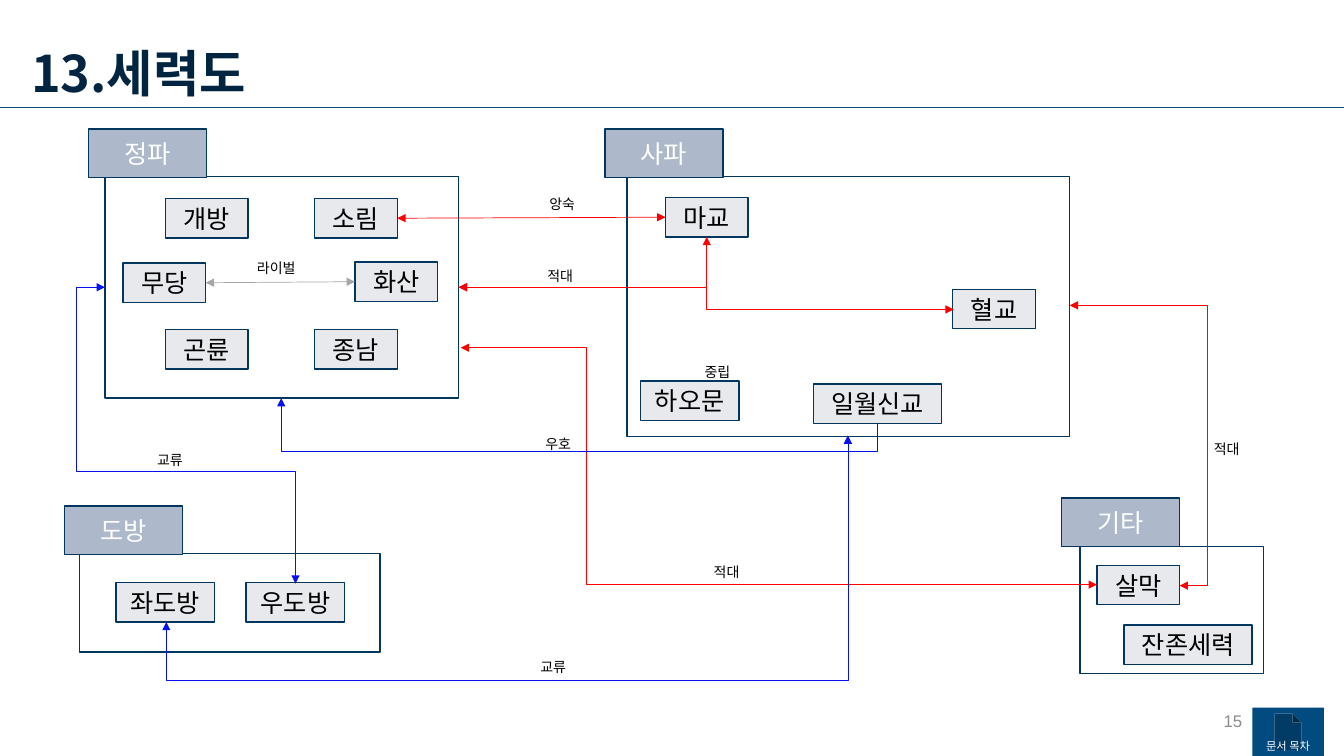
import dataclasses

import pptx
import pptx.dml.color
import pptx.enum.shapes
import pptx.enum.text
import pptx.oxml
import pptx.oxml.ns
import pptx.util
from pptx.util import Inches

KIND = pptx.enum.shapes.MSO_SHAPE
LINK = pptx.enum.shapes.MSO_CONNECTOR
ALIGN = pptx.enum.text.PP_ALIGN
ANCHOR = pptx.enum.text.MSO_ANCHOR
qn = pptx.oxml.ns.qn


@dataclasses.dataclass
class Theme:
    navy: str = "012540"
    blue: str = "024B80"
    edge: str = "01375F"
    tab: str = "ADB9CA"
    node: str = "E7E9ED"
    white: str = "FFFFFF"
    black: str = "000000"
    gray: str = "8C8C8C"
    calm: str = "A6A6A6"
    foe: str = "FF0000"
    ally: str = "0611F2"
    sans: str = "Noto Sans CJK KR"
    latin: str = "Arial"
    head: int = 36
    body: int = 18
    page: int = 12
    note: int = 10
    tiny: int = 8


def tint(code):
    return pptx.dml.color.RGBColor.from_string(code)


def add(node, tag, **attrs):
    space = pptx.oxml.ns.nsdecls("a")
    item = pptx.oxml.parse_xml(f"<a:{tag} {space}/>")
    for key, val in attrs.items():
        item.set(key, val)
    node.append(item)


class Board:
    """Draws the parts of a faction map on one slide."""

    def __init__(self, slide, theme):
        self.shapes = slide.shapes
        self.theme = theme

    def fit(self, shape, words, size, color, face=None, bold=False,
            align=ALIGN.LEFT, anchor=ANCHOR.TOP, pad=(0.1, 0.05)):
        frame = shape.text_frame
        side, edge = map(Inches, pad)
        style = dict(word_wrap=True, vertical_anchor=anchor, margin_left=side,
                     margin_right=side, margin_top=edge, margin_bottom=edge)
        for key, val in style.items():
            setattr(frame, key, val)
        para = frame.paragraphs[0]
        para.alignment = align
        run = para.add_run()
        run.text = words
        style = dict(size=pptx.util.Pt(size), bold=bold,
                     name=face or self.theme.sans)
        for key, val in style.items():
            setattr(run.font, key, val)
        run.font.color.rgb = tint(color)
        add(run._r.get_or_add_rPr(), "ea", typeface=self.theme.sans)

    def text(self, box, words, size, color, **style):
        shape = self.shapes.add_textbox(*map(Inches, box))
        self.fit(shape, words, size, color, **style)

    def label(self, x, y, words):
        self.text((x, y, 0.68, 0.27), words, self.theme.note, self.theme.black)

    def block(self, box, fill=None, line=None, kind=KIND.RECTANGLE):
        shape = self.shapes.add_shape(kind, *map(Inches, box))
        shape.shadow.inherit = False
        if fill:
            shape.fill.solid()
            shape.fill.fore_color.rgb = tint(fill)
        else:
            shape.fill.background()
        if line:
            shape.line.color.rgb = tint(line)
            shape.line.width = pptx.util.Pt(1)
        else:
            shape.line.fill.background()
        return shape

    def named(self, box, words, fill, color):
        shape = self.block(box, fill, self.theme.edge)
        self.fit(shape, words, self.theme.body, color, align=ALIGN.CENTER,
                 anchor=ANCHOR.MIDDLE, pad=(0, 0))
        return shape

    def camp(self, words, tab, box):
        self.block(box, line=self.theme.edge)
        self.named((*tab, 1.17, 0.48), words, self.theme.tab, self.theme.white)

    def node(self, words, x, y):
        wide = {2: 0.82, 3: 0.98, 4: 1.27}[len(words)]
        return self.named((x, y, wide, 0.39), words,
                          self.theme.node, self.theme.black)

    def finish(self, link, color, width, ends):
        link.line.color.rgb = tint(color)
        link.line.width = pptx.util.Pt(width)
        for end in ends:
            add(link.line._ln, end, type="triangle")
        add(link._element.spPr, "effectLst")

    def line(self, start, end, color, width=0.5, ends=()):
        link = self.shapes.add_connector(LINK.STRAIGHT,
                                         *map(Inches, (*start, *end)))
        self.finish(link, color, width, ends)
        return link

    def join(self, left, right, color):
        link = self.line((0, 0), (1, 1), color, ends=("headEnd", "tailEnd"))
        link.begin_connect(left, 3)
        link.end_connect(right, 1)

    def bend(self, points, color, width=0.5, ends=("headEnd", "tailEnd")):
        first, last = points[0], points[-1]
        turned = points[1][0] == first[0]

        def local(point):
            x, y = point[0] - first[0], point[1] - first[1]
            return (y, -x) if turned else (x, y)

        across, down = local(last)
        wide, high = abs(across), abs(down)
        left = (first[0] + last[0] - wide) / 2
        top = (first[1] + last[1] - high) / 2
        link = self.shapes.add_connector(
            LINK.ELBOW, *map(Inches, (left, top, left + wide, top + high)))
        props = link._element.spPr
        frame = props.find(qn("a:xfrm"))
        marks = dict(rot="5400000" if turned else "0",
                     flipH=str(int(across < 0)), flipV=str(int(down < 0)))
        for key, val in marks.items():
            frame.set(key, val)
        geom = props.find(qn("a:prstGeom"))
        geom.set("prst", f"bentConnector{len(points) - 1}")
        ratios = []
        if len(points) > 3:
            ratios.append(local(points[1])[0] / across)
        if len(points) > 4:
            ratios.append(local(points[2])[1] / down)
        guides = geom.find(qn("a:avLst"))
        for rank, ratio in enumerate(ratios, 1):
            add(guides, "gd", name=f"adj{rank}",
                fmla=f"val {round(ratio * 100000)}")
        self.finish(link, color, width, ends)


CAMPS = [
    ("정파", (0.88, 1.28), (1.04, 1.75, 3.51, 2.2)),
    ("사파", (6, 1.28), (6.22, 1.75, 4.39, 2.58)),
    ("도방", (0.64, 5.02), (0.79, 5.49, 2.98, 0.98)),
    ("기타", (10.53, 4.94), (10.71, 5.42, 1.82, 1.26)),
]
NODES = [
    ("개방", 1.64, 1.97), ("소림", 3.12, 1.97), ("무당", 1.22, 2.61),
    ("화산", 3.52, 2.6), ("곤륜", 1.64, 3.27), ("종남", 3.12, 3.27),
    ("마교", 6.6, 1.96), ("혈교", 9.45, 2.87), ("하오문", 6.35, 3.78),
    ("일월신교", 8.07, 3.81), ("좌도방", 1.15, 5.78), ("우도방", 2.44, 5.78),
    ("잔존세력", 11.15, 6.2), ("살막", 10.88, 5.61),
]
LABELS = [
    (2.45, 2.53, "라이벌"), (5.35, 1.89, "앙숙"), (5.33, 2.6, "적대"),
    (5.31, 4.27, "우호"), (1.46, 4.43, "교류"), (5.26, 6.48, "교류"),
    (11.94, 4.32, "적대"), (6.98, 5.54, "적대"), (6.89, 3.56, "중립"),
]
WARS = [
    (1, [(7.01, 2.35), (7.01, 2.85), (4.55, 2.85)]),
    (1, [(9.46, 3.07), (7.01, 3.07), (7.01, 2.85), (4.55, 2.85)]),
    (0.5, [(11.7, 5.81), (11.98, 5.81), (11.98, 3.03), (10.61, 3.03)]),
    (0.5, [(10.88, 5.8), (5.82, 5.8), (5.82, 3.45), (4.57, 3.45)]),
]
TRADES = [
    [(1.04, 2.85), (0.76, 2.85), (0.76, 4.68), (2.93, 4.68), (2.93, 5.79)],
    [(1.65, 6.17), (1.65, 6.75), (8.41, 6.75), (8.41, 4.32)],
]
PACT = [(8.7, 4.2), (8.7, 4.48), (2.79, 4.48), (2.79, 3.95)]


def main():
    deck = pptx.Presentation()
    deck.slide_width, deck.slide_height = Inches(13.33), Inches(7.5)
    theme = Theme()
    board = Board(deck.slides.add_slide(deck.slide_layouts[6]), theme)
    board.text((0.21, 0.37, 4.12, 0.71), "13.세력도", theme.head, theme.navy,
               bold=True)
    board.text((9.42, 6.95, 3, 0.4), "15", theme.page, theme.gray,
               face=theme.latin, align=ALIGN.RIGHT, anchor=ANCHOR.MIDDLE)
    board.line((0, 1.07), (13.33, 1.07), theme.blue)
    for camp in CAMPS:
        board.camp(*camp)
    nodes = {name: board.node(name, x, y) for name, x, y in NODES}
    board.join(nodes["무당"], nodes["화산"], theme.calm)
    board.join(nodes["소림"], nodes["마교"], theme.foe)
    for width, points in WARS:
        board.bend(points, theme.foe, width)
    for points in TRADES:
        board.bend(points, theme.ally)
    board.bend(PACT, theme.ally, ends=("tailEnd",))
    for label in LABELS:
        board.label(*label)
    button = board.block((12.42, 7.02, 0.71, 0.48), theme.blue,
                         kind=KIND.ACTION_BUTTON_DOCUMENT)
    board.fit(button, "문서 목차", theme.tiny, theme.white, face=theme.latin,
              align=ALIGN.CENTER, anchor=ANCHOR.BOTTOM, pad=(0, 0.03))
    deck.save("out.pptx")


if __name__ == "__main__":
    main()
